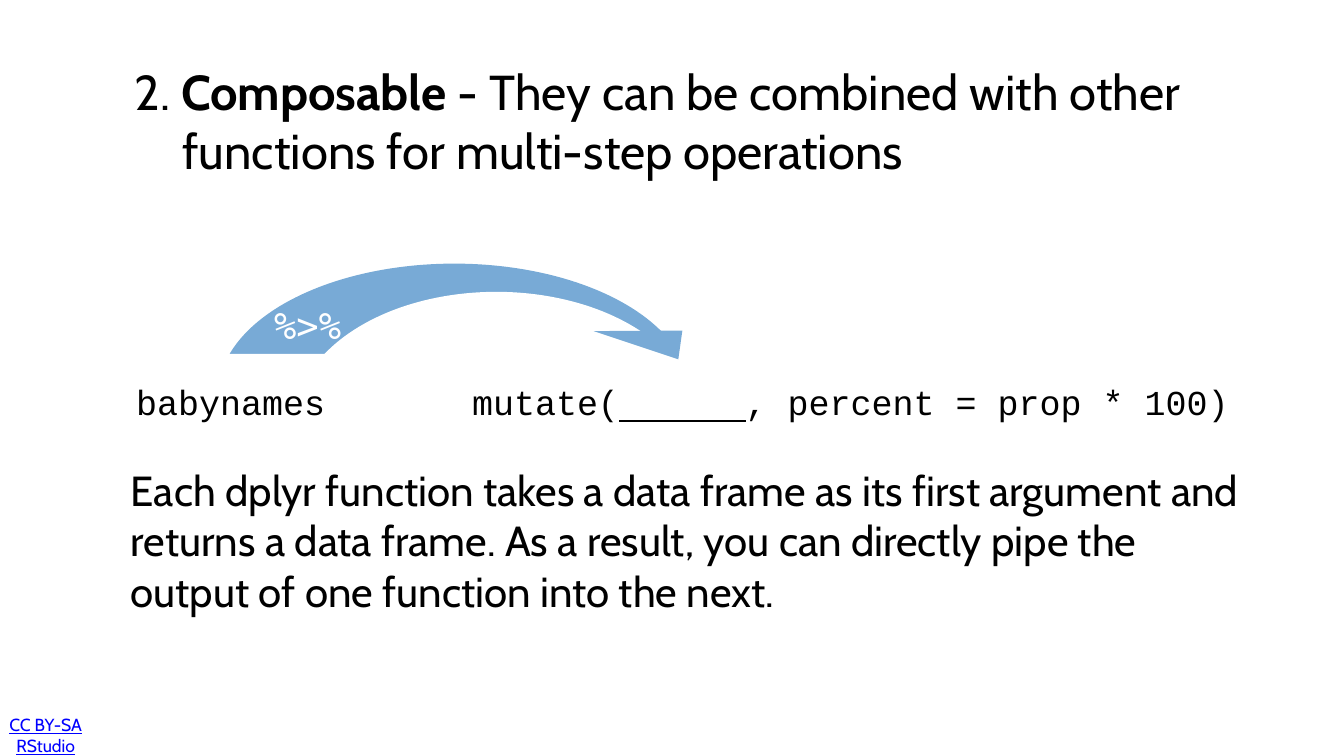
from pptx import Presentation
from pptx.dml.color import RGBColor
from pptx.enum.shapes import MSO_SHAPE
from pptx.enum.text import MSO_ANCHOR, PP_ALIGN
from pptx.util import Inches, Pt

OVAL, RECT = MSO_SHAPE.OVAL, MSO_SHAPE.RECTANGLE
MIDDLE = MSO_ANCHOR.MIDDLE
LEFT, CENTER = PP_ALIGN.LEFT, PP_ALIGN.CENTER
BLUE, WHITE, BLACK, LINK = "78AAD6", "FFFFFF", "000000", "0000FF"

prs = Presentation()
prs.slide_width, prs.slide_height = Inches(26.67), Inches(15)
s = prs.slides.add_slide(prs.slide_layouts[6])

# Grid of 100 columns by 100 rows
COL, ROW = prs.slide_width / 100, prs.slide_height / 100


def paint(sp, color):
    sp.fill.solid()
    sp.fill.fore_color.rgb = RGBColor.from_string(color)
    sp.line.fill.background()
    sp.shadow.inherit = False


def add_text(x, y, w, h, runs, size, font, color=BLACK, align=LEFT, inset=0.08):
    box = s.shapes.add_textbox(int(x * COL), int(y * ROW), int(w * COL), int(h * ROW))
    tf = box.text_frame
    tf.word_wrap, tf.vertical_anchor = True, MIDDLE
    tf.margin_left = tf.margin_right = tf.margin_top = tf.margin_bottom = Inches(inset)
    p = tf.paragraphs[0]
    p.alignment = align
    p.font.size, p.font.name = Pt(size), font
    p.font.color.rgb = RGBColor.from_string(color)
    for text in runs:
        p.add_run().text = text
    return p


# Licence line, which wraps onto two lines
p = add_text(0.2, 95, 6.4, 4.4, ["CC BY-SA RStudio"], 25, "Cabin", LINK, CENTER, inset=0)
p.font.underline = True

# Numbered heading with a hanging indent
p = add_text(10, 7, 80, 17.93,
             ["2. ", "Composable ",
              "- They can be combined with other functions for multi-step operations"],
             70, "Cabin", inset=0)
p.runs[1].font.bold = True
hang = int(3.6 * COL)
pPr = p._p.get_or_add_pPr()
pPr.set("marL", str(hang))
pPr.set("indent", str(-hang))

# Curved arrow: a blue ellipse trimmed by white shapes
for kind, x, y, w, h, color in [
    (OVAL, 16.24, 34.87, 35.13, 34.47, BLUE),
    (OVAL, 21.93, 38.6, 30, 34.47, WHITE),
    (RECT, 13.16, 46.8, 43, 21.73, WHITE),
]:
    paint(s.shapes.add_shape(kind, int(x * COL), int(y * ROW), int(w * COL), int(h * ROW)), color)

# Arrowhead
tail, *corners = [(x * COL, y * ROW) for x, y in [(44.17, 43.8), (50.77, 43.73), (50.47, 47.53)]]
fb = s.shapes.build_freeform(*tail)
fb.add_line_segments(corners, close=True)
paint(fb.convert_to_shape(), BLUE)

# Pipe operator on the arrow
add_text(20.1, 39.4, 8.06, 7.13, ["%>%"], 53, "DejaVu Sans Mono", WHITE)

# Code line with an underlined blank for the piped argument
p = add_text(0, 49.67, 100, 6.87,
             [" babynames       mutate(", "      ", ", percent = prop * 100)"],
             50, "Courier New", align=CENTER)
p.runs[1].font.underline = True

# Explanation
add_text(9.5, 59.8, 82.94, 23.27,
         ["Each dplyr function takes a data frame as its first argument and returns a "
          "data frame. As a result, you can directly pipe the output of one function "
          "into the next."],
         60, "Cabin", inset=0.06)

prs.save("out.pptx")
